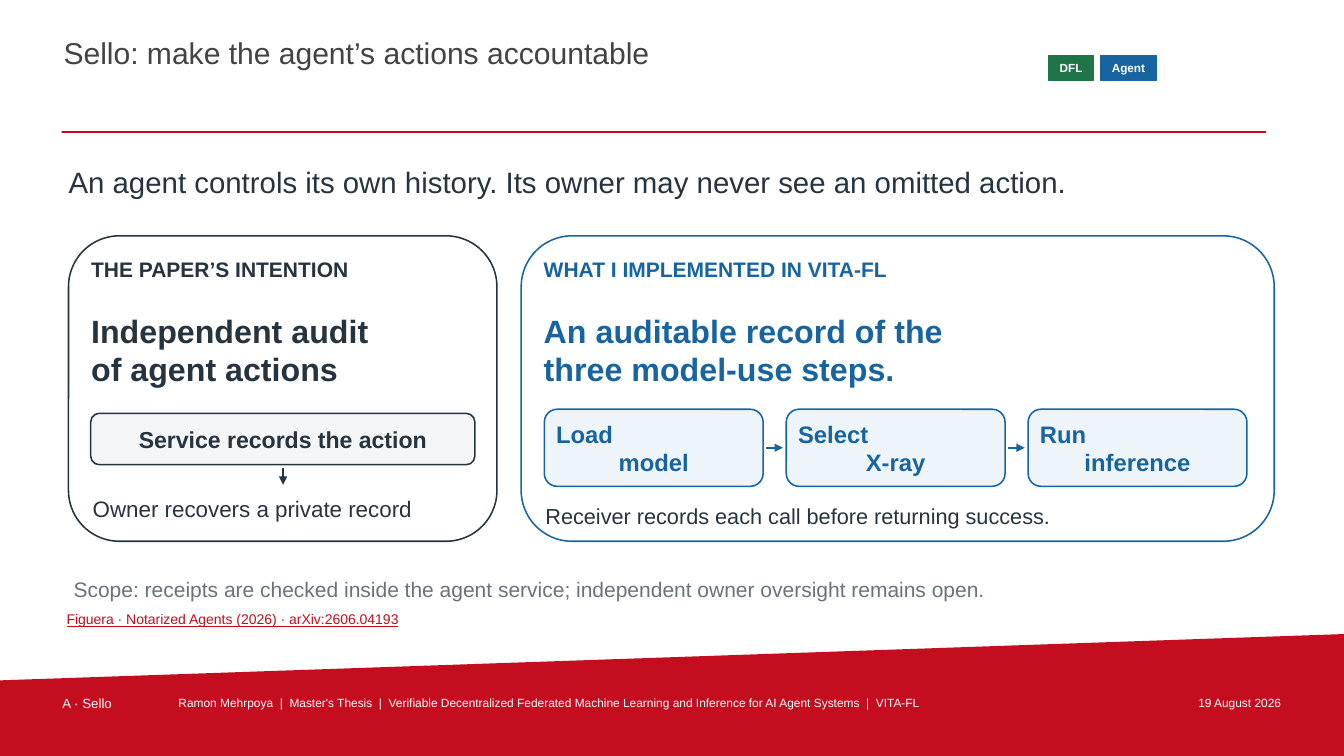
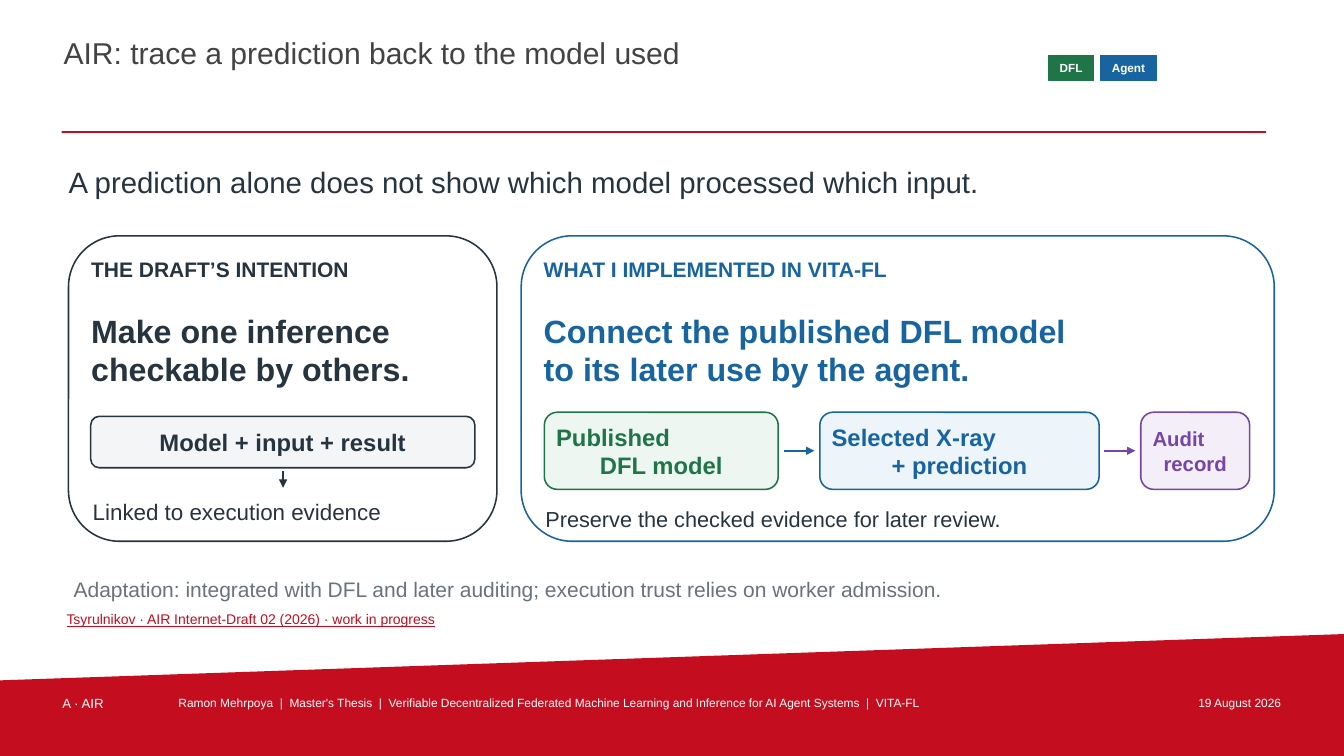
from lxml import etree
from pptx import Presentation
from pptx import util as u
from pptx.dml.color import RGBColor
from pptx.enum import shapes, text
from pptx.oxml import ns

COLORS = {
    "red": "C40D1E", "link": "C30D1E", "title": "434343", "ink": "263440",
    "gray": "67747C", "white": "FFFFFF", "green": "207548", "blue": "1764A1",
    "purple": "7446A6", "pale ink": "F3F5F6", "pale green": "EDF6F0",
    "pale blue": "EDF4FA", "pale purple": "F3EEF8",
}
FONT = "Arial"
LEFT, CENTER, RIGHT = text.PP_ALIGN.LEFT, text.PP_ALIGN.CENTER, text.PP_ALIGN.RIGHT
TOP, MIDDLE = text.MSO_ANCHOR.TOP, text.MSO_ANCHOR.MIDDLE
RECTANGLE = shapes.MSO_SHAPE.RECTANGLE
ROUNDED = shapes.MSO_SHAPE.ROUNDED_RECTANGLE

presentation = Presentation()
presentation.slide_width, presentation.slide_height = u.Inches(13.333), u.Inches(7.5)

# The slide is a grid of 100 columns by 100 rows
COLUMN = presentation.slide_width / 100
ROW = presentation.slide_height / 100


def block(slide, at, kind=None, fill=None, line=None, width=1.1):
    """Add a preset shape, or a text box when no kind is given."""
    place = [int(value * unit) for value, unit in zip(at, (COLUMN, ROW) * 2)]
    if kind is None:
        return slide.shapes.add_textbox(*place)
    shape = slide.shapes.add_shape(kind, *place)
    shape.shadow.inherit = False
    shape.fill.solid()
    shape.fill.fore_color.rgb = RGBColor.from_string(COLORS[fill])
    if line:
        shape.line.color.rgb = RGBColor.from_string(COLORS[line])
        shape.line.width = u.Pt(width)
    else:
        shape.line.fill.background()
    return shape


def write(shape, words, size, color, bold=False, aligns=(LEFT,), anchor=MIDDLE, inset=(0, 0)):
    """Fill a shape with text; the last alignment serves all remaining lines."""
    frame = shape.text_frame
    frame.text = words
    frame.word_wrap = True
    frame.auto_size = text.MSO_AUTO_SIZE.NONE
    frame.vertical_anchor = anchor
    frame.margin_left = frame.margin_right = int(inset[0] * COLUMN)
    frame.margin_top = frame.margin_bottom = int(inset[1] * ROW)
    for index, paragraph in enumerate(frame.paragraphs):
        paragraph.alignment = aligns[min(index, len(aligns) - 1)]
        paragraph.space_before = u.Pt(0)
        for run in paragraph.runs:
            run.font.name, run.font.size, run.font.bold = FONT, u.Pt(size), bold
            run.font.color.rgb = RGBColor.from_string(COLORS[color])


# Contents: each step is (words, colour, width in columns, text size)
TOPICS = [
    {
        "title": "Sello: make the agent’s actions accountable",
        "section": "A · Sello",
        "lead": "An agent controls its own history. Its owner may never see an omitted action.",
        "label": "THE PAPER’S INTENTION",
        "intention": "Independent audit\nof agent actions",
        "evidence": ("Service records the action", 16.5),
        "outcome": "Owner recovers a private record",
        "implemented": "An auditable record of the\nthree model-use steps.",
        "steps": [("Load\nmodel", "blue", 16.28, 17), ("Select\nX-ray", "blue", 16.28, 17),
                  ("Run\ninference", "blue", 16.28, 17)],
        "gap": 1.72, "arrow": (0.25, 1.5), "drop": 0,
        "result": "Receiver records each call before returning success.",
        "scope": "Scope: receipts are checked inside the agent service; "
                 "independent owner oversight remains open.",
        "citation": "Figuera · Notarized Agents (2026) · arXiv:2606.04193",
    },
    {
        "title": "AIR: trace a prediction back to the model used",
        "section": "A · AIR",
        "lead": "A prediction alone does not show which model processed which input.",
        "label": "THE DRAFT’S INTENTION",
        "intention": "Make one inference\ncheckable by others.",
        "evidence": ("Model + input + result", 17),
        "outcome": "Linked to execution evidence",
        "implemented": "Connect the published DFL model\nto its later use by the agent.",
        "steps": [("Published\nDFL model", "green", 17.4, 17),
                  ("Selected X-ray\n+ prediction", "blue", 20.78, 17),
                  ("Audit\nrecord", "purple", 8.1, 14.5)],
        "gap": 3.1, "arrow": (0.4, 1.8), "drop": 0.4,
        "result": "Preserve the checked evidence for later review.",
        "scope": "Adaptation: integrated with DFL and later auditing; "
                 "execution trust relies on worker admission.",
        "citation": "Tsyrulnikov · AIR Internet-Draft 02 (2026) · work in progress",
    },
]

# Layout: keep only title and body
layout = presentation.slide_layouts[1]
for placeholder in list(layout.placeholders):
    if placeholder.placeholder_format.idx > 1:
        layout.shapes.element.remove(placeholder.element)
slides = [presentation.slides.add_slide(layout) for topic in TOPICS]

# Shared parts: drawn once, then moved to the layout
FOOTER_TOP, FOOTER_HEIGHT, FOOTER_INSET = 91.73, 2.93, (0.15, 0.27)
first = slides[0]
builder = first.shapes.build_freeform(0, int(90 * ROW))
builder.add_line_segments([(int(x * COLUMN), int(y * ROW))
                           for x, y in ((100, 83.87), (100, 100), (0, 100))])
band = builder.convert_to_shape()
band.shadow.inherit = False
band.fill.solid()
band.fill.fore_color.rgb = RGBColor.from_string(COLORS["red"])
band.line.fill.background()
shared = [band, block(first, (4.58, 17.33, 89.62, 0.27), RECTANGLE, "red")]
for left, width, words, align in (
    (13.13, 70.13, "Ramon Mehrpoya  |  Master's Thesis  |  Verifiable Decentralized Federated "
                   "Machine Learning and Inference for AI Agent Systems  |  VITA-FL", LEFT),
    (84, 11.48, "19 August 2026", RIGHT),
):
    footer = block(first, (left, FOOTER_TOP, width, FOOTER_HEIGHT))
    write(footer, words, 8.5, "white", aligns=(align,), anchor=TOP, inset=FOOTER_INSET)
    shared.append(footer)
for left, width, words, color in ((78, 3.38, "DFL", "green"), (81.9, 4.13, "Agent", "blue")):
    chip = block(first, (left, 7.33, width, 3.33), RECTANGLE, color, color, 0.55)
    write(chip, words, 8.4, "white", True, (CENTER,))
    shared.append(chip)
for shape in shared:
    layout.shapes.element.append(shape.element)

for slide, topic in zip(slides, TOPICS):
    drop = topic["drop"]

    # Title and lead sentence
    title, lead = slide.shapes.title, slide.placeholders[1]
    for placeholder, at in ((title, (4.58, 4.27, 72.38, 8.27)), (lead, (5.1, 20.4, 89.7, 7.2))):
        placeholder.left, placeholder.top, placeholder.width, placeholder.height = [
            int(value * unit) for value, unit in zip(at, (COLUMN, ROW) * 2)]
    write(title, topic["title"], 21.5, "title", anchor=TOP, inset=(0.15, 0.27))
    write(lead, topic["lead"], 21, "ink")
    for paragraph in lead.text_frame.paragraphs:
        properties = paragraph._p.get_or_add_pPr()
        properties.set("marL", "0")
        properties.set("indent", "0")
        etree.SubElement(properties, ns.qn("a:buNone"))

    # Two cards with label, heading and closing line
    for left, width, color, label, heading, closing, closing_top, closing_size in (
        (5.1, 31.88, "ink", topic["label"], topic["intention"], topic["outcome"], 65.07, 16),
        (38.78, 56.03, "blue", "WHAT I IMPLEMENTED IN VITA-FL", topic["implemented"],
         topic["result"], 66, 15.5),
    ):
        block(slide, (left, 31.2, width, 40.4), ROUNDED, "white", color)
        inner, inner_width = left + 1.68, width - 3.4
        write(block(slide, (inner, 33.2, inner_width, 4.8)), label, 15, color, True)
        write(block(slide, (inner, 40.4, inner_width, 11.73)), heading, 23, color, True)
        write(block(slide, (inner + 0.12, closing_top + drop, inner_width, 4.4)),
              closing, closing_size, "ink")

    # Evidence box and the arrow below it
    words, size = topic["evidence"]
    evidence = block(slide, (6.75, 54.67 + drop, 28.58, 6.8), ROUNDED, "pale ink", "ink")
    write(evidence, words, size, "ink", True, (CENTER,))
    arrows = [((21.06, 61.87 + drop), (21.06, 64.13 + drop), "ink", 1.8)]

    # Steps, each reached by an arrow in its own colour
    pad, weight = topic["arrow"]
    left, top, height = 40.5, 54.13 + drop, 10.2
    for index, (words, color, width, size) in enumerate(topic["steps"]):
        step = block(slide, (left, top, width, height), ROUNDED, "pale " + color, color)
        write(step, words, size, color, True, (LEFT, CENTER), inset=(0.6, 0))
        if index:
            middle = top + height / 2
            arrows.append(((left - topic["gap"] + pad, middle), (left - pad, middle),
                           color, weight))
        left += width + topic["gap"]

    for start, end, color, weight in arrows:
        arrow = slide.shapes.add_connector(
            shapes.MSO_CONNECTOR.STRAIGHT,
            *[int(value * unit) for value, unit in zip(start + end, (COLUMN, ROW) * 2)])
        arrow.line.color.rgb = RGBColor.from_string(COLORS[color])
        arrow.line.width = u.Pt(weight)
        etree.SubElement(arrow.line._get_or_add_ln(), ns.qn("a:tailEnd"), type="triangle")
        etree.SubElement(arrow.element.spPr, ns.qn("a:effectLst"))

    # Scope, citation and section name
    write(block(slide, (5.48, 75.6, 88.88, 4.53)), topic["scope"], 15, "gray")
    citation = block(slide, (4.95, 80.53, 90, 2.67))
    write(citation, topic["citation"], 10, "link")
    citation.text_frame.paragraphs[0].runs[0].font.underline = True
    write(block(slide, (4.5, FOOTER_TOP, 8.25, FOOTER_HEIGHT)), topic["section"], 9.5, "white",
          anchor=TOP, inset=FOOTER_INSET)

presentation.save("out.pptx")
